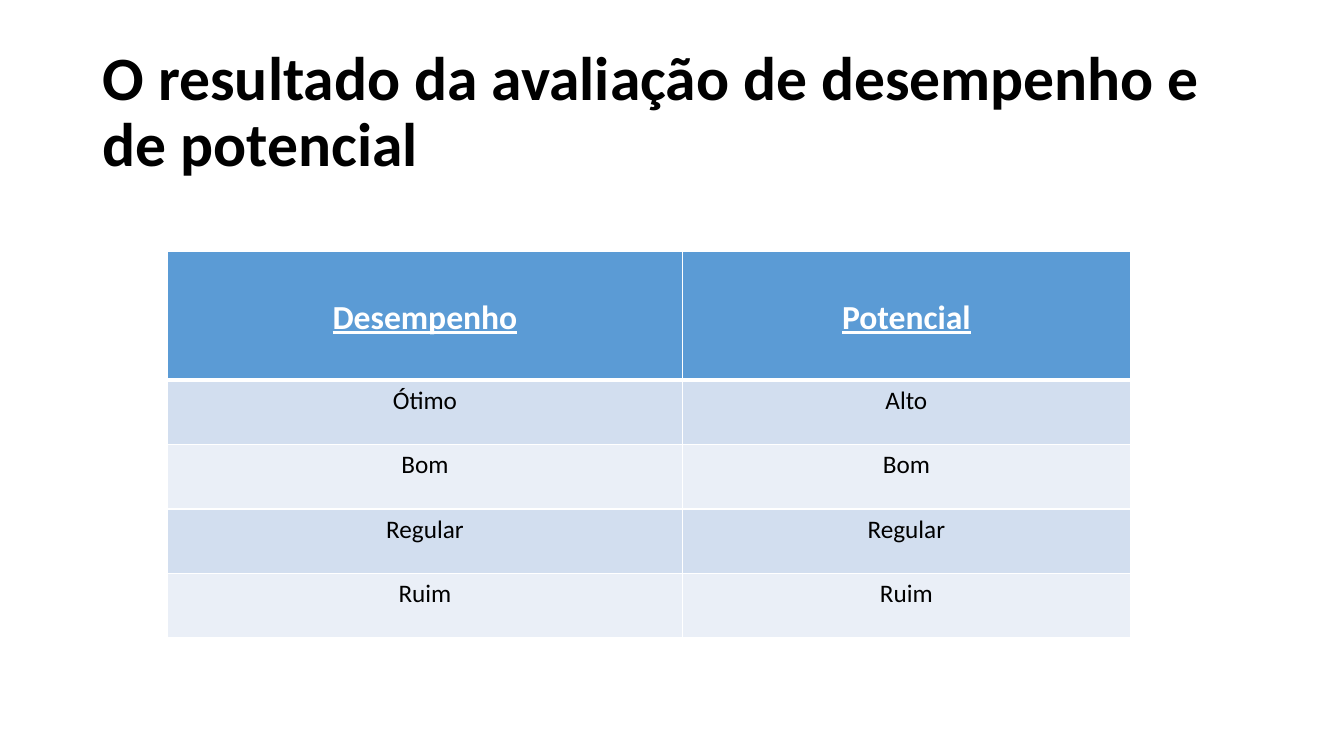
import pptx
import pptx.util
import pptx.dml.color
import pptx.enum.text
import pptx.oxml
import lxml.etree
from pptx.util import Inches

TITLE = "O resultado da avaliação de desempenho e de potencial"
ROWS = [
    ("Desempenho", "Potencial"),
    ("Ótimo", "Alto"),
    ("Bom", "Bom"),
    ("Regular", "Regular"),
    ("Ruim", "Ruim"),
]
COLUMN_WIDTHS = (5.11, 4.44)
HEADER_HEIGHT, BODY_HEIGHT = 1.28, 0.64
HEADER_TOP_MARGIN = 0.46

THEME = {
    "font": "Calibri",
    "border": "FFFFFF",
    "bands": ("EAEFF7", "D2DEEF"),
    "header_fill": "5B9BD5",
    "title": {"size": 44, "bold": True, "color": "000000"},
    "header": {"size": 24, "bold": True, "underline": True, "color": "FFFFFF"},
    "body": {"size": 18, "bold": False, "color": "000000"},
}


def write_text(text_frame, text, style, paragraph_format):
    paragraph = text_frame.paragraphs[0]
    for name, value in paragraph_format.items():
        setattr(paragraph, name, value)
    font = paragraph.add_run().font
    paragraph.runs[0].text = text
    values = {**style, "name": THEME["font"], "size": pptx.util.Pt(style["size"])}
    font.color.rgb = pptx.dml.color.RGBColor.from_string(values.pop("color"))
    for name, value in values.items():
        setattr(font, name, value)


def set_borders(cell, widths):
    properties = cell._tc.get_or_add_tcPr()
    for index, (side, width) in enumerate(widths.items()):
        line = lxml.etree.Element(pptx.oxml.ns.qn(f"a:ln{side}"), w=str(pptx.util.Pt(width)))
        fill = lxml.etree.SubElement(line, pptx.oxml.ns.qn("a:solidFill"))
        lxml.etree.SubElement(fill, pptx.oxml.ns.qn("a:srgbClr"), val=THEME["border"])
        properties.insert(index, line)


presentation = pptx.Presentation()
presentation.slide_width, presentation.slide_height = Inches(13.33), Inches(7.5)
slide = presentation.slides.add_slide(presentation.slide_layouts[6])

title = slide.shapes.add_textbox(Inches(0.92), Inches(0.4), Inches(11.5), Inches(1.45))
title.text_frame.word_wrap = True
title.text_frame.vertical_anchor = pptx.enum.text.MSO_ANCHOR.MIDDLE
write_text(title.text_frame, TITLE, THEME["title"], {"line_spacing": 0.9})

row_heights = [HEADER_HEIGHT] + [BODY_HEIGHT] * (len(ROWS) - 1)
table = slide.shapes.add_table(
    len(ROWS), len(COLUMN_WIDTHS), Inches(1.66), Inches(2.49),
    Inches(sum(COLUMN_WIDTHS)), Inches(sum(row_heights)),
).table
for column, width in zip(table.columns, COLUMN_WIDTHS):
    column.width = Inches(width)

for row_index, (labels, height) in enumerate(zip(ROWS, row_heights)):
    table.rows[row_index].height = Inches(height)
    is_header = row_index == 0
    fill_color = THEME["header_fill"] if is_header else THEME["bands"][row_index % 2]
    borders = {"L": 1, "R": 1, "T": 3 if row_index == 1 else 1, "B": 3 if is_header else 1}
    for column_index, label in enumerate(labels):
        cell = table.cell(row_index, column_index)
        cell.fill.solid()
        cell.fill.fore_color.rgb = pptx.dml.color.RGBColor.from_string(fill_color)
        if is_header:
            cell.margin_top = Inches(HEADER_TOP_MARGIN)
        write_text(cell.text_frame, label, THEME["header" if is_header else "body"],
                   {"alignment": pptx.enum.text.PP_ALIGN.CENTER})
        set_borders(cell, borders)

presentation.save("out.pptx")
